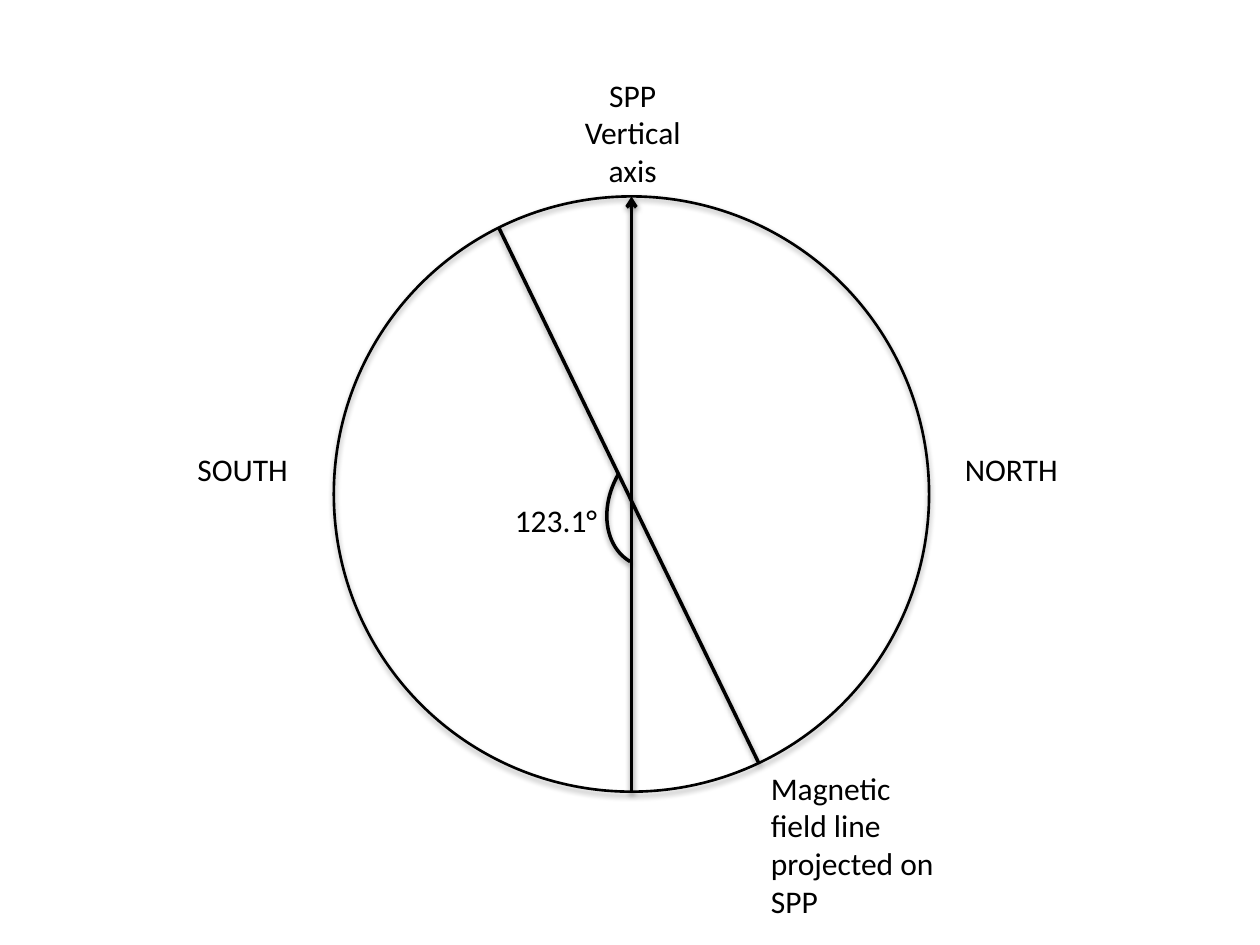
from dataclasses import dataclass

from lxml.etree import SubElement
from pptx import Presentation
from pptx.dml.color import RGBColor
from pptx.enum.shapes import MSO_CONNECTOR, MSO_SHAPE
from pptx.enum.text import MSO_AUTO_SIZE, PP_ALIGN
from pptx.oxml.ns import qn
from pptx.util import Cm, Pt


@dataclass(frozen=True)
class Theme:
    ink: RGBColor = RGBColor(0, 0, 0)
    font: str = "Calibri"
    text_size: float = 18
    thin: float = 1.5
    thick: float = 2
    label_width: float = 3.91


@dataclass(frozen=True)
class Label:
    text: str
    left: float
    top: float
    height: float = 1.02
    align: PP_ALIGN = PP_ALIGN.LEFT


@dataclass(frozen=True)
class Stroke:
    start: tuple[float, float]
    end: tuple[float, float]
    arrow: bool = False


@dataclass(frozen=True)
class Outline:
    kind: MSO_SHAPE
    left: float
    top: float
    width: float
    height: float
    weight: float
    shadow_opacity: int
    shadow_distance: float
    rotation: float = 0


THEME = Theme()
DIAMETER = 12.0
CIRCLE_LEFT, CIRCLE_TOP = 6.73, 3.96
AXIS_X = CIRCLE_LEFT + DIAMETER / 2
FIELD_END = (15.29, 15.37)

STROKES = [
    Stroke((AXIS_X, CIRCLE_TOP + DIAMETER), (AXIS_X, CIRCLE_TOP), arrow=True),
    Stroke(FIELD_END, (10.06, 4.6)),
]
OUTLINES = [
    Outline(MSO_SHAPE.OVAL, CIRCLE_LEFT, CIRCLE_TOP, DIAMETER, DIAMETER, THEME.thin, 35, 1.8),
    Outline(MSO_SHAPE.ARC, 12.32, 8.69, 2.18, 2.82, THEME.thick, 38, 1.6, 210.1),
]
LABELS = [
    Label("SPP\nVertical\naxis", 10.8, 1.4, 2.56, PP_ALIGN.CENTER),
    Label("Magnetic field line projected on SPP", *FIELD_END, 3.33),
    Label("NORTH", 19.2, 8.94),
    Label("SOUTH", 3.73, 8.94),
    Label("123.1°", 8.38, 9.98, align=PP_ALIGN.RIGHT),
]


def set_line(shape, weight: float) -> None:
    shape.line.color.rgb = THEME.ink
    shape.line.width = Pt(weight)


def add_shadow(shape, opacity: int, distance: float) -> None:
    """Cast a soft shadow downwards; call it once the line is set."""
    effects = SubElement(shape._element.spPr, qn("a:effectLst"))
    shadow = SubElement(effects, qn("a:outerShdw"), blurRad=str(Pt(3.15)),
                        dist=str(Pt(distance)), dir="5400000", rotWithShape="0")
    color = SubElement(shadow, qn("a:srgbClr"), val=str(THEME.ink))
    SubElement(color, qn("a:alpha"), val=str(opacity * 1000))


def draw_stroke(page, stroke: Stroke) -> None:
    connector = page.shapes.add_connector(
        MSO_CONNECTOR.STRAIGHT, *map(Cm, stroke.start + stroke.end))
    set_line(connector, THEME.thick)
    if stroke.arrow:
        SubElement(connector.line._get_or_add_ln(), qn("a:tailEnd"), type="arrow")
    add_shadow(connector, 38, 1.6)


def draw_outline(page, outline: Outline) -> None:
    shape = page.shapes.add_shape(
        outline.kind, Cm(outline.left), Cm(outline.top), Cm(outline.width), Cm(outline.height))
    shape.rotation = outline.rotation
    shape.fill.background()
    set_line(shape, outline.weight)
    add_shadow(shape, outline.shadow_opacity, outline.shadow_distance)


def draw_label(page, label: Label) -> None:
    box = page.shapes.add_textbox(
        Cm(label.left), Cm(label.top), Cm(THEME.label_width), Cm(label.height))
    frame = box.text_frame
    frame.word_wrap = True
    frame.auto_size = MSO_AUTO_SIZE.SHAPE_TO_FIT_TEXT
    frame.text = label.text
    for para in frame.paragraphs:
        para.alignment = label.align
        for span in para.runs:
            span.font.name = THEME.font
            span.font.size = Pt(THEME.text_size)
            span.font.color.rgb = THEME.ink


def main() -> None:
    deck = Presentation()
    deck.slide_width, deck.slide_height = Cm(25.4), Cm(19.05)
    page = deck.slides.add_slide(deck.slide_layouts[6])
    for stroke in STROKES:
        draw_stroke(page, stroke)
    for outline in OUTLINES:
        draw_outline(page, outline)
    for label in LABELS:
        draw_label(page, label)
    deck.save("out.pptx")


if __name__ == "__main__":
    main()
